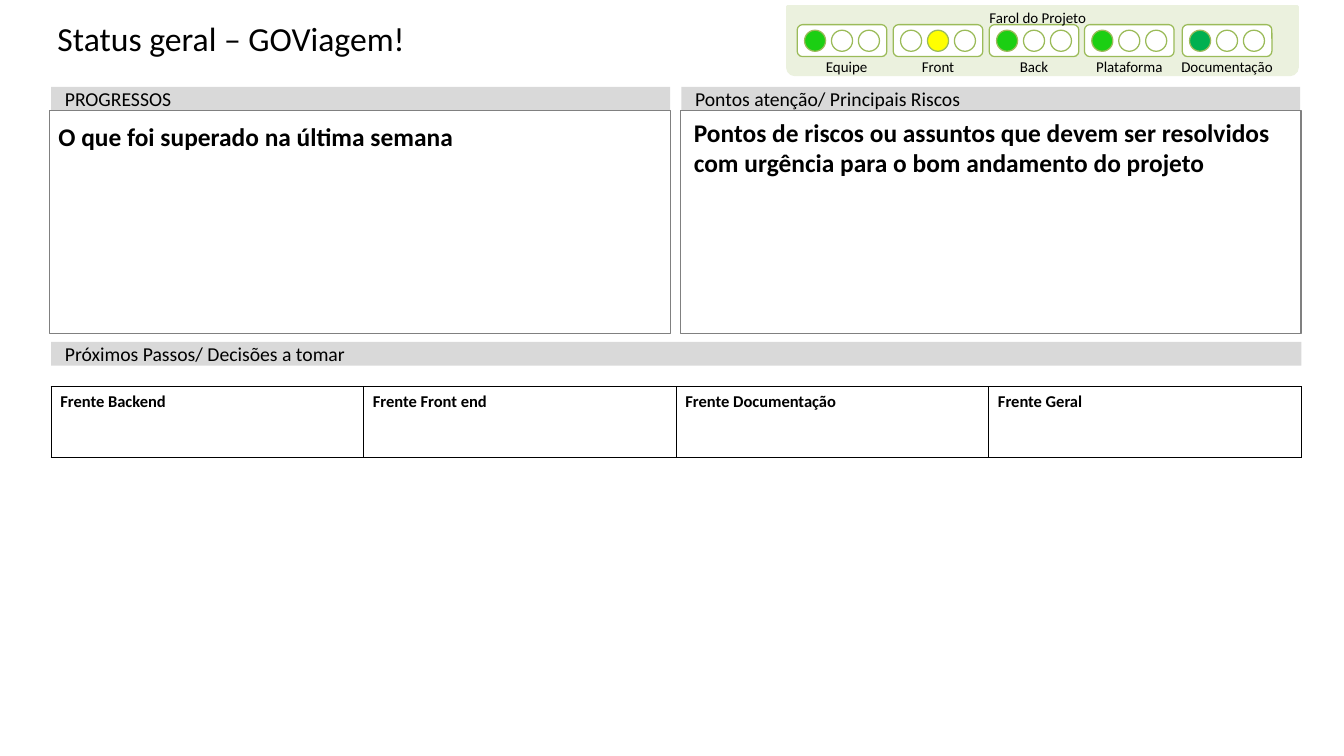
"""Build the weekly project status slide with its traffic lights and next steps."""
from dataclasses import dataclass

from lxml.etree import SubElement
from pptx import Presentation
from pptx.dml.color import RGBColor
from pptx.enum.shapes import MSO_SHAPE as Preset
from pptx.enum.text import MSO_ANCHOR as Anchor, PP_ALIGN as Align
from pptx.oxml.ns import qn
from pptx.shapes.autoshape import Shape
from pptx.slide import Slide
from pptx.text.text import TextFrame
from pptx.util import Pt


@dataclass(frozen=True)
class Theme:
    font: str = "Calibri"
    ink: str = "000000"
    paper: str = "FFFFFF"
    bar: str = "D9D9D9"
    frame: str = "808080"
    panel: str = "EBF1DE"
    rim: str = "9BBB59"
    green: str = "1BCF13"
    deep_green: str = "00B050"
    yellow: str = "FFFF00"
    title: float = 26.5
    body: float = 20
    heading: float = 15.5
    column: float = 13
    label: float = 11.8


@dataclass(frozen=True)
class Box:
    left: float
    top: float
    width: float
    height: float

    def lengths(self) -> tuple[Pt, Pt, Pt, Pt]:
        return Pt(self.left), Pt(self.top), Pt(self.width), Pt(self.height)


@dataclass(frozen=True)
class Style:
    size: float
    bold: bool = False
    align: Align = Align.LEFT
    anchor: Anchor = Anchor.TOP
    insets: tuple[float, float, float, float] = (7.2, 3.6, 7.2, 3.6)


@dataclass(frozen=True)
class Signal:
    name: str
    left: float
    lit: int
    color: str
    label_shift: float = 0


@dataclass(frozen=True)
class Section:
    heading: str
    box: Box


THEME = Theme()
TITLE = Style(THEME.title, insets=(8.6, 0, 8.6, 0))
HEADING = Style(THEME.heading, anchor=Anchor.MIDDLE, insets=(10.8, 5, 10.8, 5))
PROGRESS = Style(THEME.body, bold=True, insets=(7.2, 8.6, 7.2, 3.6))
RISK = Style(THEME.body, bold=True)
COLUMN = Style(THEME.column, bold=True)
LABEL = Style(THEME.label, align=Align.CENTER, anchor=Anchor.BOTTOM, insets=(0, 0, 0, 0))

SIGNALS = (
    Signal("Equipe", 627.8, 0, THEME.green, 3.6),
    Signal("Front", 703.4, 1, THEME.yellow),
    Signal("Back", 779, 0, THEME.green),
    Signal("Plataforma", 854, 0, THEME.green),
    Signal("Documentação", 931, 0, THEME.deep_green),
)
SECTIONS = (
    Section("PROGRESSOS", Box(40.3, 68.4, 487.4, 18.7)),
    Section("Pontos atenção/ Principais Riscos", Box(536.6, 68.4, 487.4, 18.7)),
    Section("Próximos Passos/ Decisões a tomar", Box(40.3, 269.3, 984.6, 18.7)),
)
FRONTS = ("Frente Backend", "Frente Front end", "Frente Documentação", "Frente Geral")
SIGNAL_WIDTH, LAMP, LAMP_INSET, LAMP_STEP = 70.6, 16.6, 5.8, 21.2
LABEL_WIDTH, LABEL_HEIGHT = 90, 14.4


def write(frame: TextFrame, text: str, style: Style) -> None:
    sides = ("margin_left", "margin_top", "margin_right", "margin_bottom")
    settings = dict(zip(sides, map(Pt, style.insets)))
    settings |= {"word_wrap": True, "vertical_anchor": style.anchor}
    for key, value in settings.items():
        setattr(frame, key, value)
    paragraph = frame.paragraphs[0]
    paragraph.alignment = style.align
    run = paragraph.add_run()
    run.text = text
    for key, value in {"name": THEME.font, "size": Pt(style.size), "bold": style.bold}.items():
        setattr(run.font, key, value)
    run.font.color.rgb = RGBColor.from_string(THEME.ink)


def add_text(slide: Slide, box: Box, text: str, style: Style) -> None:
    write(slide.shapes.add_textbox(*box.lengths()).text_frame, text, style)


def add_label(slide: Slide, center: float, top: float, text: str) -> None:
    add_text(slide, Box(center - LABEL_WIDTH / 2, top, LABEL_WIDTH, LABEL_HEIGHT), text, LABEL)


def add_shape(slide: Slide, preset: Preset, box: Box, fill: str = "", line: str = "",
              weight: float = 1) -> Shape:
    shape = slide.shapes.add_shape(preset, *box.lengths())
    shape.shadow.inherit = False
    if fill:
        shape.fill.solid()
        shape.fill.fore_color.rgb = RGBColor.from_string(fill)
    else:
        shape.fill.background()
    if line:
        shape.line.color.rgb = RGBColor.from_string(line)
        shape.line.width = Pt(weight)
    else:
        shape.line.fill.background()
    return shape


def add_signal(slide: Slide, signal: Signal) -> None:
    housing = Box(signal.left, 19.4, SIGNAL_WIDTH, 25.2)
    add_shape(slide, Preset.ROUNDED_RECTANGLE, housing, THEME.paper, THEME.rim)
    for index in range(3):
        lamp = Box(signal.left + LAMP_INSET + index * LAMP_STEP, 23.8, LAMP, LAMP)
        color = signal.color if index == signal.lit else THEME.paper
        add_shape(slide, Preset.OVAL, lamp, color, THEME.rim)
    add_label(slide, signal.left + SIGNAL_WIDTH / 2 + signal.label_shift, 45.4, signal.name)


def add_fronts(slide: Slide, box: Box) -> None:
    table = slide.shapes.add_table(1, len(FRONTS), *box.lengths()).table
    table.first_row = table.horz_banding = False
    table.rows[0].height = Pt(box.height)
    for column, cell, name in zip(table.columns, table.rows[0].cells, FRONTS):
        column.width = Pt(box.width / len(FRONTS))
        write(cell.text_frame, name, COLUMN)
        properties = cell._tc.get_or_add_tcPr()
        for side in ("a:lnL", "a:lnR", "a:lnT", "a:lnB"):
            border = SubElement(properties, qn(side), w=str(Pt(1)))
            SubElement(SubElement(border, qn("a:solidFill")), qn("a:srgbClr"), val=THEME.ink)
        cell.fill.background()


def build() -> None:
    deck = Presentation()
    deck.slide_width, deck.slide_height = Pt(1058.4), Pt(595.4)
    slide = deck.slides.add_slide(deck.slide_layouts[6])

    add_text(slide, Box(36.7, 14.4, 952.6, 62.6), "Status geral – GOViagem!", TITLE)

    panel = add_shape(slide, Preset.ROUND_2_SAME_RECTANGLE, Box(620, 5, 401.8, 54),
                      THEME.panel, THEME.panel, 2)
    panel.rotation = 180
    panel.adjustments[0] = 0.11
    for signal in SIGNALS:
        add_signal(slide, signal)
    add_label(slide, 817.2, 6.5, "Farol do Projeto")

    for section in SECTIONS:
        bar = add_shape(slide, Preset.RECTANGLE, section.box, THEME.bar)
        write(bar.text_frame, section.heading, HEADING)

    progress, _ = (add_shape(slide, Preset.RECTANGLE, Box(left, 87.1, 488.9, 175.7),
                             line=THEME.frame) for left in (38.9, 535.7))
    write(progress.text_frame, "O que foi superado na última semana", PROGRESS)
    add_text(slide, Box(539.3, 88.6, 485.3, 55.4),
             "Pontos de riscos ou assuntos que devem ser resolvidos com urgência "
             "para o bom andamento do projeto", RISK)

    add_fronts(slide, Box(40.3, 304.6, 984.6, 55.4))
    deck.save("out.pptx")


build()
